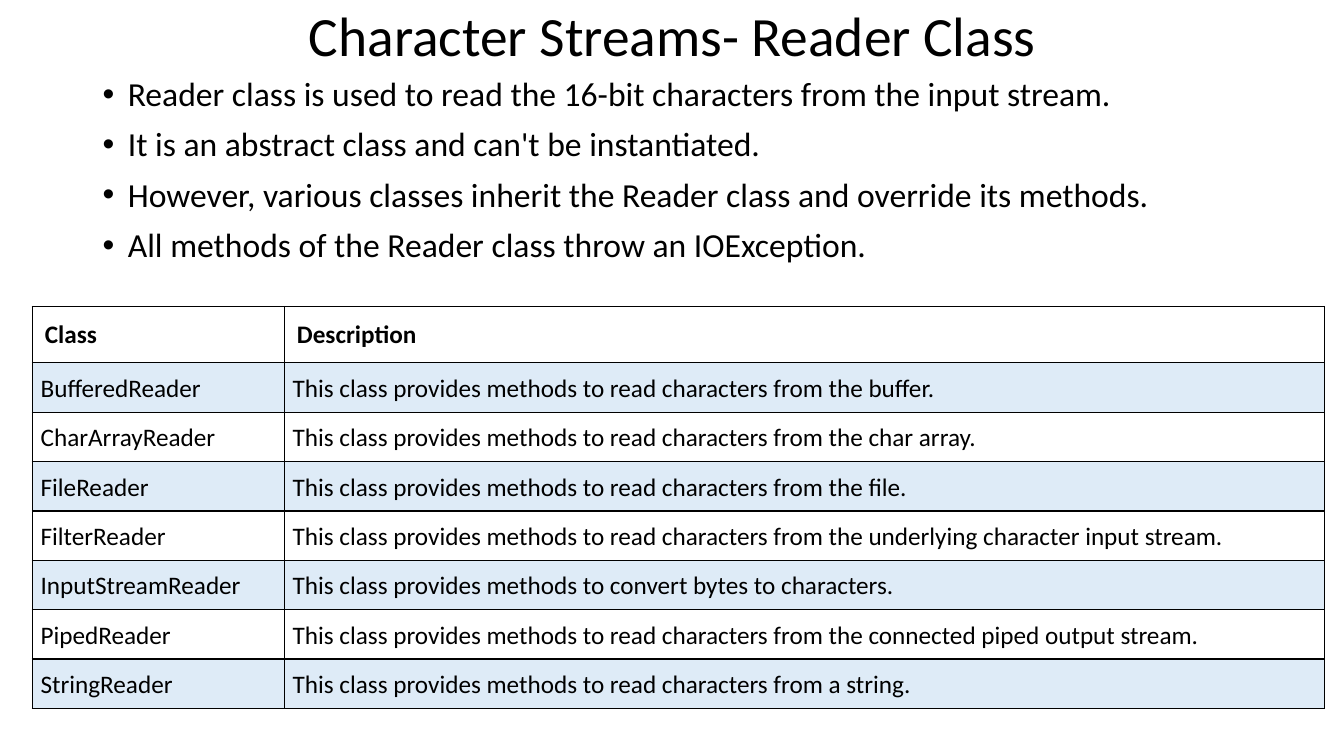
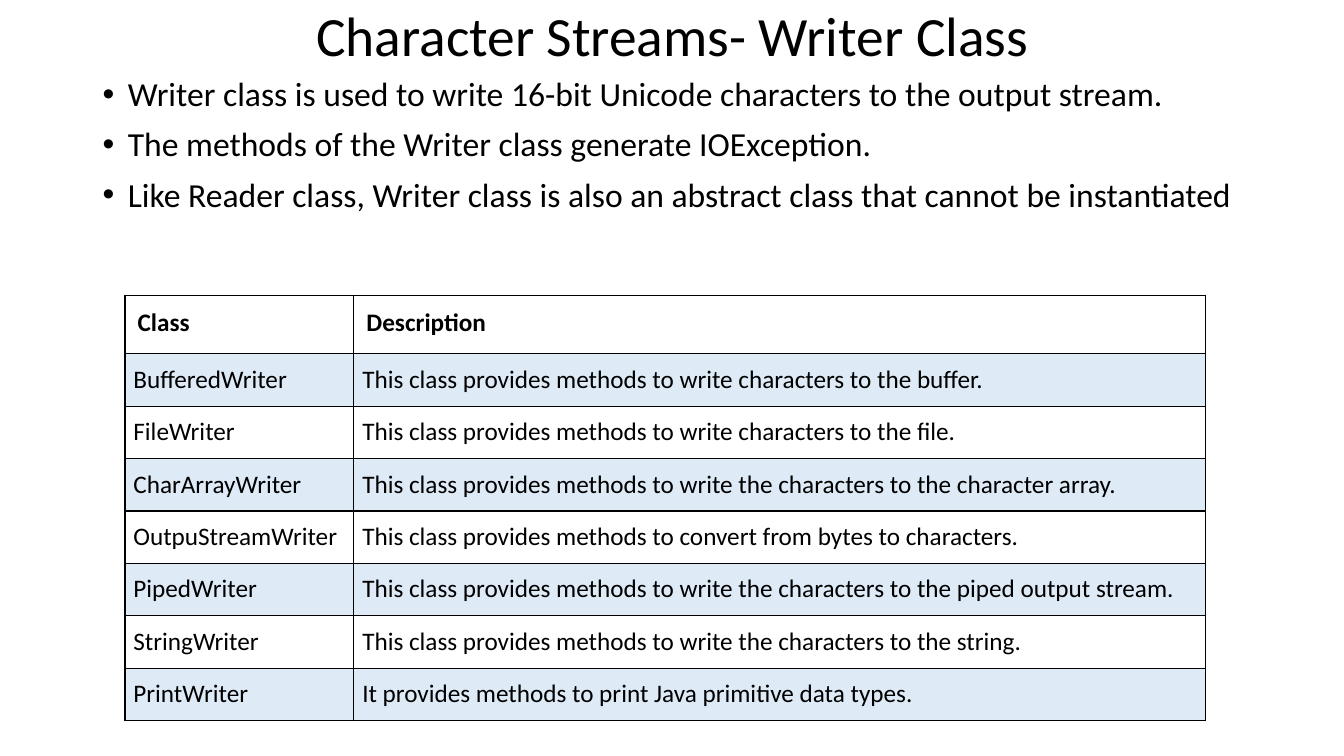
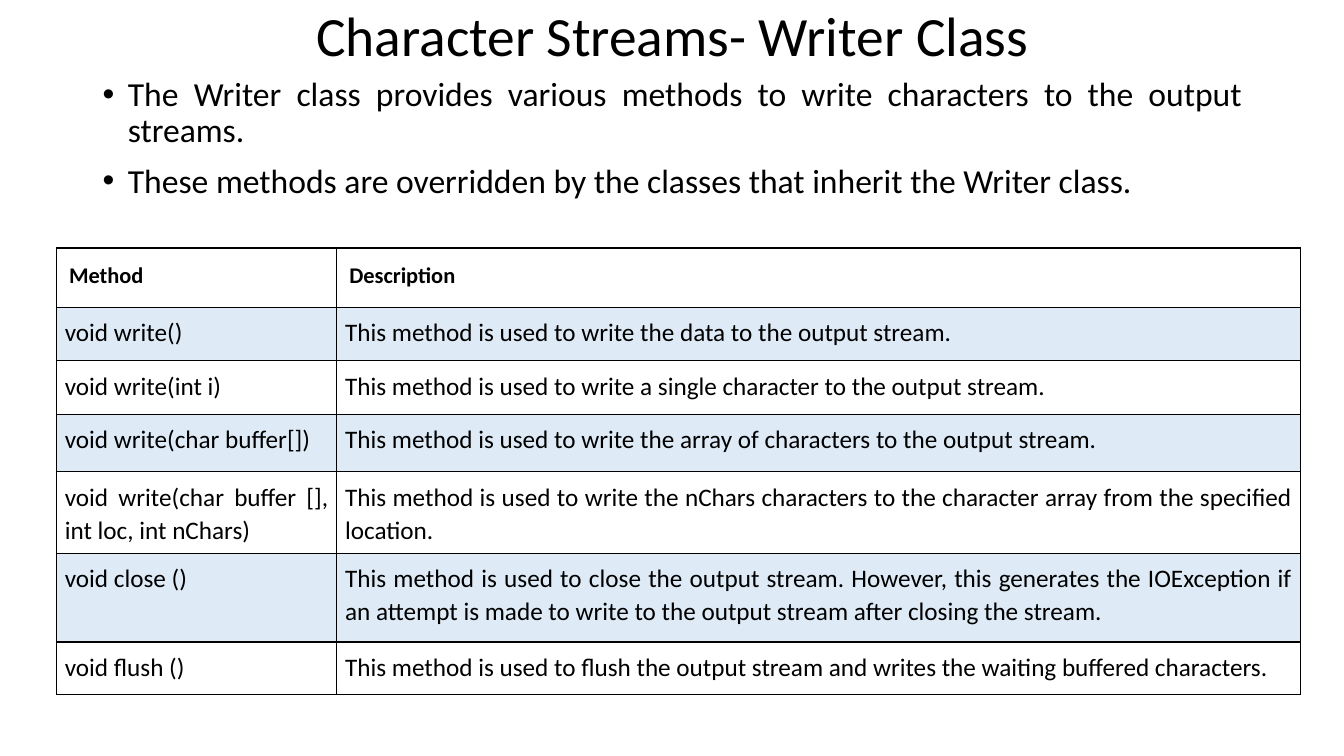
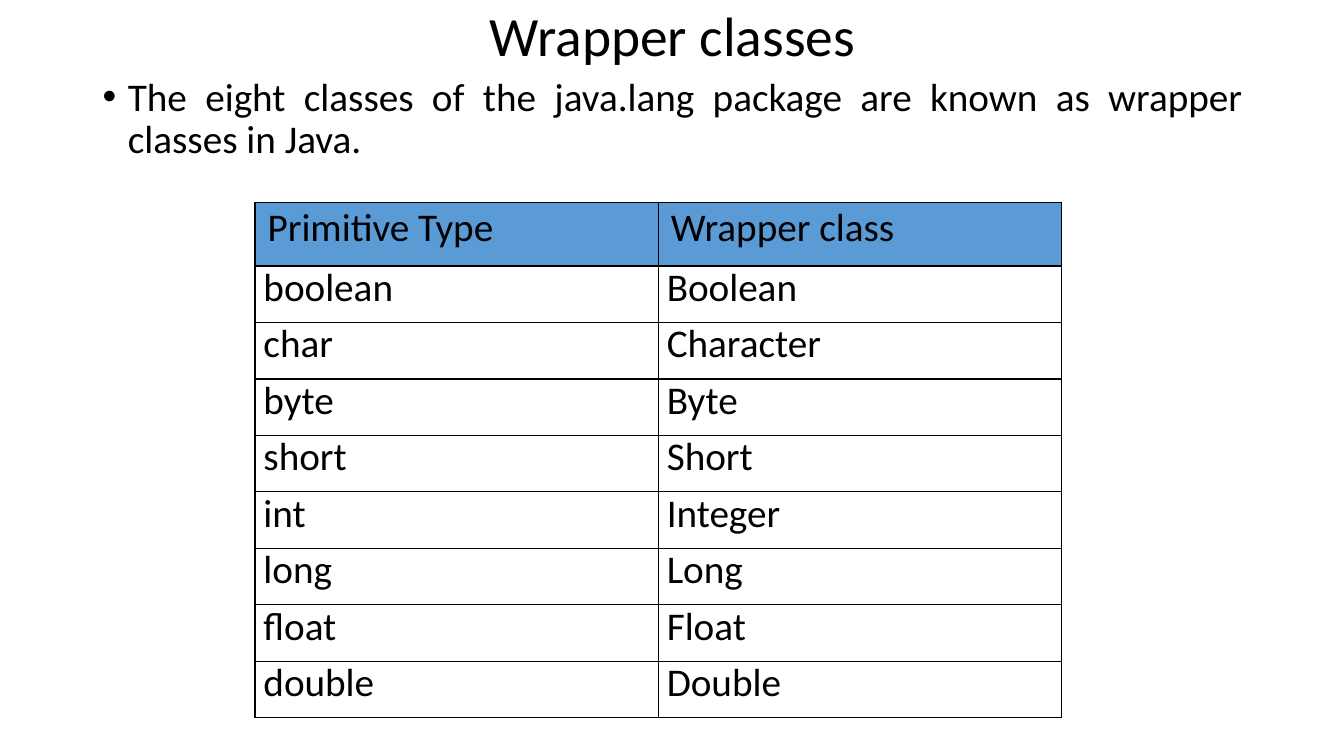
from dataclasses import dataclass

from lxml import etree
from pptx import Presentation
from pptx import util as u
from pptx.dml.color import RGBColor
from pptx.enum import text
from pptx.oxml.ns import qn


@dataclass(frozen=True)
class Theme:
    font: str = "Calibri"
    ink: RGBColor = RGBColor(0x00, 0x00, 0x00)
    accent: RGBColor = RGBColor(0x5B, 0x9B, 0xD5)
    band: RGBColor = RGBColor(0xDE, 0xEB, 0xF7)
    title_size: float = 39.6
    bullet_size: float = 24
    cell_size: float = 18
    small_header_size: float = 16
    large_size: float = 28
    header_inset: float = 1 / 8
    cell_inset: float = 1 / 12


theme = Theme()

# Content of each slide
lessons = [
    dict(
        title="Character Streams- Reader Class",
        bullets=[
            "Reader class is used to read the 16-bit characters from the input stream.",
            "It is an abstract class and can't be instantiated.",
            "However, various classes inherit the Reader class and override its methods.",
            "All methods of the Reader class throw an IOException.",
        ],
        origin=(0.32, 3.04),
        columns=[2.5, 10.32],
        heights=[0.56] + [0.49] * 7,
        rows=[
            ("Class", "Description"),
            ("BufferedReader", "This class provides methods to read characters from the buffer."),
            ("CharArrayReader", "This class provides methods to read characters from the char array."),
            ("FileReader", "This class provides methods to read characters from the file."),
            ("FilterReader", "This class provides methods to read characters from the underlying character input stream."),
            ("InputStreamReader", "This class provides methods to convert bytes to characters."),
            ("PipedReader", "This class provides methods to read characters from the connected piped output stream."),
            ("StringReader", "This class provides methods to read characters from a string."),
        ],
    ),
    dict(
        title="Character Streams- Writer Class",
        bullets=[
            "Writer class is used to write 16-bit Unicode characters to the output stream.",
            "The methods of the Writer class generate IOException.",
            "Like Reader class, Writer class is also an abstract class that cannot be instantiated",
        ],
        bullets_width=11.76,
        origin=(1.24, 2.93),
        columns=[2.27, 8.45],
        heights=[0.58] + [0.52] * 7,
        rows=[
            ("Class", "Description"),
            ("BufferedWriter", "This class provides methods to write characters to the buffer."),
            ("FileWriter", "This class provides methods to write characters to the file."),
            ("CharArrayWriter", "This class provides methods to write the characters to the character array."),
            ("OutpuStreamWriter", "This class provides methods to convert from bytes to characters."),
            ("PipedWriter", "This class provides methods to write the characters to the piped output stream."),
            ("StringWriter", "This class provides methods to write the characters to the string."),
            ("PrintWriter", "It provides methods to print Java primitive data types."),
        ],
    ),
    dict(
        title="Character Streams- Writer Class",
        bullets=[
            "The Writer class provides various methods to write characters to the output streams.",
            "These methods are overridden by the classes that inherit the Writer class.",
        ],
        origin=(0.56, 2.46),
        columns=[2.78, 9.56],
        heights=[0.59, 0.53, 0.53, 0.57, 0.81, 0.88, 0.52],
        header_size=theme.small_header_size,
        header_spacing=1.07,
        rows=[
            ("Method", "Description"),
            ("void write()", "This method is used to write the data to the output stream."),
            ("void write(int i)", "This method is used to write a single character to the output stream."),
            ("void write(char buffer[])", "This method is used to write the array of characters to the output stream."),
            ("void write(char buffer [], int loc, int nChars)",
             "This method is used to write the nChars characters to the character array from the specified location."),
            ("void close ()",
             "This method is used to close the output stream. However, this generates the IOException if an attempt "
             "is made to write to the output stream after closing the stream."),
            ("void flush ()", "This method is used to flush the output stream and writes the waiting buffered characters."),
        ],
    ),
    dict(
        title="Wrapper classes",
        bullets=["The eight classes of the java.lang package are known as wrapper classes in Java."],
        bullet_size=theme.large_size,
        origin=(2.53, 2.01),
        columns=[4, 4],
        heights=[0.63] + [0.56] * 8,
        header_size=theme.large_size,
        cell_size=theme.large_size,
        header_spacing=0.5,
        cell_spacing=0.5,
        header_bold=False,
        header_fill=theme.accent,
        band_fill=None,
        anchor=text.MSO_ANCHOR.MIDDLE,
        rows=[
            ("Primitive Type", "Wrapper class"),
            ("boolean", "Boolean"),
            ("char", "Character"),
            ("byte", "Byte"),
            ("short", "Short"),
            ("int", "Integer"),
            ("long", "Long"),
            ("float", "Float"),
            ("double", "Double"),
        ],
    ),
]


def style(paragraph, size, align, spacing=None, bold=False):
    paragraph.alignment = align
    paragraph.line_spacing = spacing
    for run in paragraph.runs:
        run.font.name = theme.font
        run.font.size = u.Pt(size)
        run.font.bold = bold
        run.font.color.rgb = theme.ink


def add_borders(cell):
    properties = cell._tc.get_or_add_tcPr()
    for side in ("a:lnL", "a:lnR", "a:lnT", "a:lnB"):
        line = etree.SubElement(properties, qn(side), w=str(u.Pt(1)))
        fill = etree.SubElement(line, qn("a:solidFill"))
        etree.SubElement(fill, qn("a:srgbClr"), val=str(theme.ink))


deck = Presentation()
deck.slide_width = u.Inches(13.33)
deck.slide_height = u.Inches(7.5)

for lesson in lessons:
    slide = deck.slides.add_slide(deck.slide_layouts[6])

    # Title
    heading = slide.shapes.add_textbox(u.Inches(0.92), u.Inches(0.05), u.Inches(11.5), u.Inches(0.67)).text_frame
    heading.word_wrap = True
    heading.vertical_anchor = text.MSO_ANCHOR.MIDDLE
    heading.text = lesson["title"]
    style(heading.paragraphs[0], theme.title_size, text.PP_ALIGN.CENTER, 0.9)

    # Bullets
    points = slide.shapes.add_textbox(
        u.Inches(0.92), u.Inches(0.72), u.Inches(lesson.get("bullets_width", 11.5)), u.Inches(6.62)
    ).text_frame
    points.word_wrap = True
    points.text = "\n".join(lesson["bullets"])
    for number, point in enumerate(points.paragraphs):
        properties = point._p.get_or_add_pPr()
        properties.set("marL", str(u.Inches(0.25)))
        properties.set("indent", str(u.Inches(-0.25)))
        etree.SubElement(properties, qn("a:buFont"), typeface="Arial")
        etree.SubElement(properties, qn("a:buChar"), char="•")
        style(point, lesson.get("bullet_size", theme.bullet_size), text.PP_ALIGN.JUSTIFY, 0.9)
        if number:
            point.space_before = u.Pt(10)

    # Table grid
    left, top = lesson["origin"]
    columns, heights = lesson["columns"], lesson["heights"]
    table = slide.shapes.add_table(
        len(heights), len(columns),
        u.Inches(left), u.Inches(top), u.Inches(sum(columns)), u.Inches(sum(heights)),
    ).table
    table.first_row = False
    table.horz_banding = False
    for column, width in zip(table.columns, columns):
        column.width = u.Inches(width)
    for row, height in zip(table.rows, heights):
        row.height = u.Inches(height)

    # Table cells: a header row, then every other row banded
    for row_number, entries in enumerate(lesson["rows"]):
        is_header = row_number == 0
        if is_header:
            fill_color = lesson.get("header_fill")
        else:
            fill_color = lesson.get("band_fill", theme.band) if row_number % 2 else None
        for column_number, entry in enumerate(entries):
            cell = table.cell(row_number, column_number)
            cell.text_frame.text = entry
            cell.vertical_anchor = lesson.get("anchor", text.MSO_ANCHOR.TOP)
            inset = u.Inches(theme.header_inset if is_header else theme.cell_inset)
            cell.margin_left = cell.margin_right = cell.margin_top = cell.margin_bottom = inset
            add_borders(cell)
            if fill_color is None:
                cell.fill.background()
            else:
                cell.fill.solid()
                cell.fill.fore_color.rgb = fill_color
            paragraph = cell.text_frame.paragraphs[0]
            if is_header:
                style(paragraph, lesson.get("header_size", theme.cell_size), text.PP_ALIGN.LEFT,
                      lesson.get("header_spacing"), lesson.get("header_bold", True))
            else:
                style(paragraph, lesson.get("cell_size", theme.cell_size), text.PP_ALIGN.JUSTIFY,
                      lesson.get("cell_spacing", 1.07))

deck.save("out.pptx")
